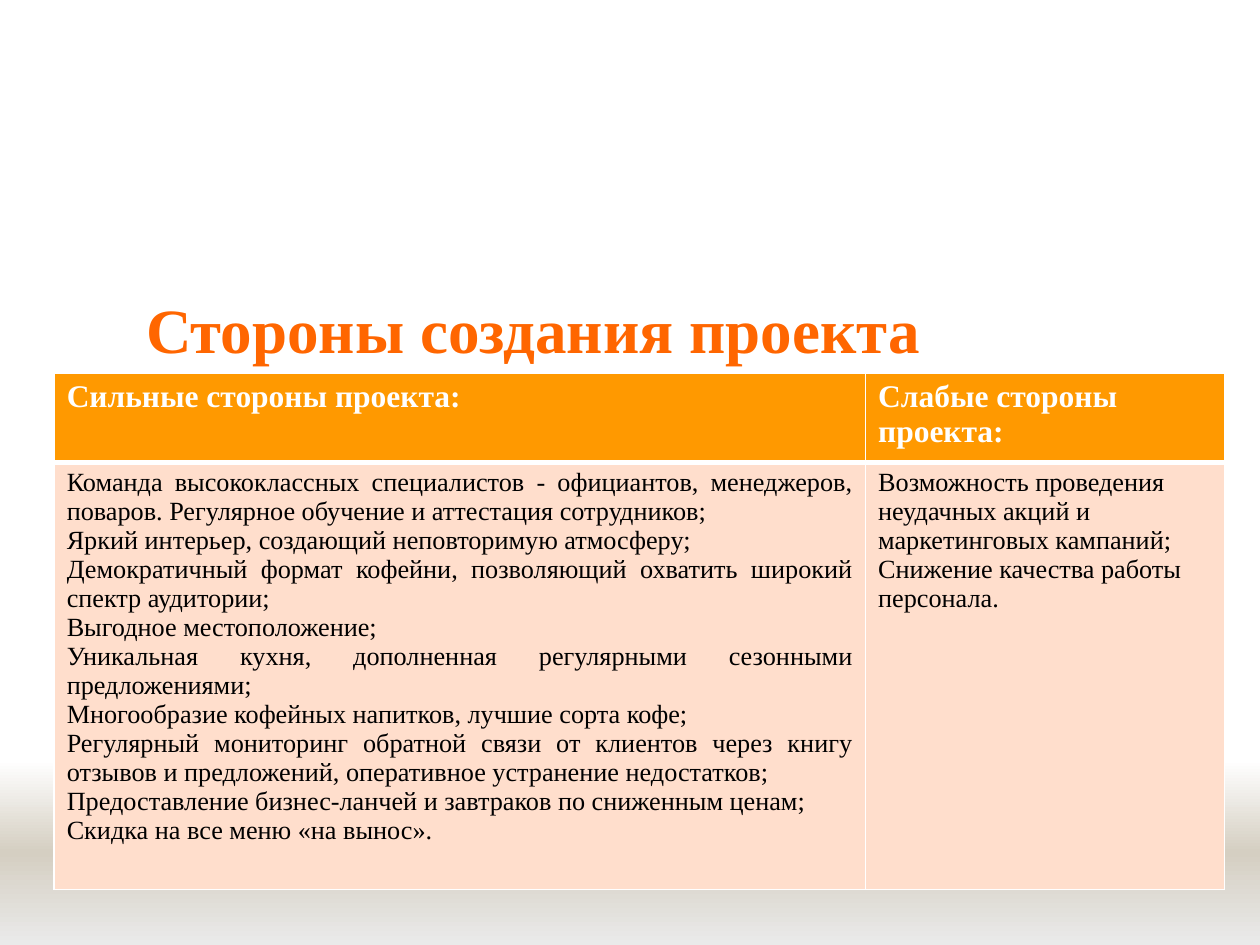
from copy import deepcopy

from lxml import etree
from pptx import Presentation
from pptx.dml.color import RGBColor
from pptx.enum.shapes import MSO_SHAPE
from pptx.enum.text import MSO_ANCHOR, PP_ALIGN
from pptx.oxml.ns import qn
from pptx.util import Inches, Pt

RECTANGLE = MSO_SHAPE.RECTANGLE
MIDDLE = MSO_ANCHOR.MIDDLE
LEFT = PP_ALIGN.LEFT
JUSTIFY = PP_ALIGN.JUSTIFY
TITLE_ONLY = 5

HEADINGS = ["Сильные стороны проекта:", "Слабые стороны проекта:"]
STRENGTHS = [
    "Команда высококлассных специалистов - официантов, менеджеров, поваров. "
    "Регулярное обучение и аттестация сотрудников;",
    "Яркий интерьер, создающий неповторимую атмосферу;",
    "Демократичный формат кофейни, позволяющий охватить широкий спектр аудитории;",
    "Выгодное местоположение;",
    "Уникальная кухня, дополненная регулярными сезонными предложениями;",
    "Многообразие кофейных напитков, лучшие сорта кофе;",
    "Регулярный мониторинг обратной связи от клиентов через книгу отзывов "
    "и предложений, оперативное устранение недостатков;",
    "Предоставление бизнес-ланчей и завтраков по сниженным ценам;",
    "Скидка на все меню «на вынос».",
]
WEAKNESSES = [
    "Возможность проведения неудачных акций и маркетинговых кампаний;",
    "Снижение качества работы персонала.",
]


def rgb(value):
    return RGBColor.from_string(value)


class SlideBuilder:
    font_name = "Times New Roman"
    accent = "FF6600"
    header_fill = "FF9900"
    body_fill = "FFDECC"
    light = "FFFFFF"
    dark = "000000"

    def __init__(self, slide):
        self.slide = slide

    def set_text(self, frame, lines, size, color, bold=False, align=LEFT):
        frame.text = "\n".join(lines)
        for paragraph in frame.paragraphs:
            paragraph.alignment = align
            font = paragraph.font
            font.name = self.font_name
            font.size = Pt(size)
            font.bold = bold
            font.color.rgb = rgb(color)

    def gradient_band(self, left, top, width, height, colors):
        band = self.slide.shapes.add_shape(
            RECTANGLE, Inches(left), Inches(top), Inches(width), Inches(height))
        band.shadow.inherit = False
        band.line.fill.background()
        band.fill.gradient()
        band.fill.gradient_angle = 270
        stop_list = band._element.spPr.find(qn("a:gradFill")).find(qn("a:gsLst"))
        for _ in colors[2:]:
            stop_list.append(deepcopy(stop_list[0]))
        for index, (stop, color) in enumerate(zip(band.fill.gradient_stops, colors)):
            stop.position = index / (len(colors) - 1)
            stop.color.rgb = rgb(color)

    def title(self, text, left, top, width, height):
        heading = self.slide.shapes.title
        heading.left, heading.top = Inches(left), Inches(top)
        heading.width, heading.height = Inches(width), Inches(height)
        heading.text_frame.vertical_anchor = MIDDLE
        self.set_text(heading.text_frame, [text], 36, self.accent, bold=True)

    def borders(self, cell, top, bottom):
        properties = cell._tc.get_or_add_tcPr()
        widths = {"lnL": 1, "lnR": 1, "lnT": top, "lnB": bottom}
        for index, (side, width) in enumerate(widths.items()):
            line = etree.Element(qn(f"a:{side}"), w=str(Pt(width)))
            fill = etree.SubElement(line, qn("a:solidFill"))
            etree.SubElement(fill, qn("a:srgbClr"), val=self.light)
            properties.insert(index, line)

    def cell(self, cell, lines, fill, **text_style):
        self.set_text(cell.text_frame, lines, **text_style)
        cell.fill.solid()
        cell.fill.fore_color.rgb = rgb(fill)

    def comparison(self, left, top, widths, heights, headings, bodies, alignments):
        table = self.slide.shapes.add_table(
            len(heights), len(widths), Inches(left), Inches(top),
            Inches(sum(widths)), Inches(sum(heights))).table
        table.horz_banding = False
        for row, height in zip(table.rows, heights):
            row.height = Inches(height)
        for index, width in enumerate(widths):
            table.columns[index].width = Inches(width)
            header, body = table.cell(0, index), table.cell(1, index)
            self.cell(header, [headings[index]], self.header_fill,
                      size=18, color=self.light, bold=True)
            self.cell(body, bodies[index], self.body_fill,
                      size=15, color=self.dark, align=alignments[index])
            self.borders(header, top=1, bottom=3)
            self.borders(body, top=3, bottom=1)


def main():
    presentation = Presentation()
    presentation.slide_width = Inches(10)
    presentation.slide_height = Inches(7.5)
    builder = SlideBuilder(
        presentation.slides.add_slide(presentation.slide_layouts[TITLE_ONLY]))
    builder.gradient_band(0, 6.03, 10, 1.47, ["FFFFFF", "D5CFC2", "EAEAEA"])
    builder.title("Стороны создания проекта", 1.06, 2.25, 7.72, 0.71)
    builder.comparison(0.43, 2.96, [6.44, 2.85], [0.71, 3.39], HEADINGS,
                       [STRENGTHS, WEAKNESSES], [JUSTIFY, LEFT])
    presentation.save("out.pptx")


if __name__ == "__main__":
    main()
